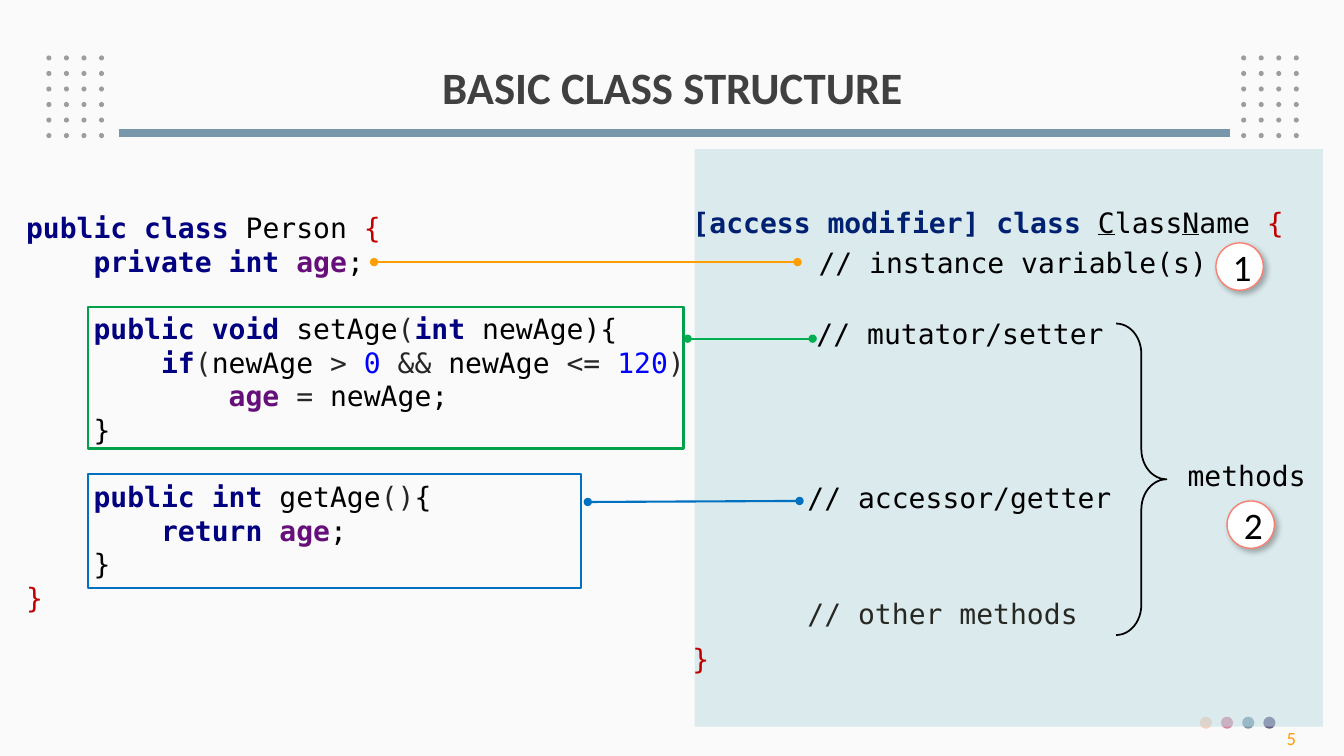
"""Build the slide that explains the basic structure of a class."""
import pptx
import pptx.dml.color
import pptx.enum.shapes
import pptx.enum.text
import pptx.oxml
import pptx.oxml.ns
import pptx.util

Inches, Pt = pptx.util.Inches, pptx.util.Pt
SHAPES = pptx.enum.shapes.MSO_SHAPE
CENTER = pptx.enum.text.PP_ALIGN.CENTER
MIDDLE = pptx.enum.text.MSO_ANCHOR.MIDDLE
MONO, SANS = "DejaVu Sans Mono", "Calibri"

STYLES = {
    "keyword": ("000080", True, False),
    "field": ("660E7A", True, False),
    "name": ("000000", False, False),
    "symbol": ("262626", False, False),
    "number": ("0000FF", False, False),
    "brace": ("C00000", False, False),
    "pattern": ("002071", True, False),
    "capital": ("000000", False, True),
    "remark": ("282823", False, False),
    "title": ("404040", True, False),
    "page": ("FF9E00", False, False),
}
PERSON_CODE = [
    (0, [("public class ", "keyword"), ("Person ", "name"), ("{", "brace")]),
    (0, [("    private int ", "keyword"), ("age", "field"), (";", "name")]),
    (24, [("    public void ", "keyword"), ("setAge", "name"), ("(", "symbol"),
          ("int ", "keyword"), ("newAge){", "name")]),
    (0, [("        if", "keyword"), ("(", "symbol"), ("newAge ", "name"), ("> ", "symbol"),
         ("0 ", "number"), ("&& ", "symbol"), ("newAge ", "name"), ("<= ", "symbol"),
         ("120", "number"), (")", "symbol")]),
    (0, [("            age ", "field"), ("= ", "symbol"), ("newAge;", "name")]),
    (0, [("    }", "name")]),
    (24, [("    public int ", "keyword"), ("getAge", "name"), ("()", "symbol"), ("{", "name")]),
    (0, [("        return ", "keyword"), ("age", "field"), (";", "name")]),
    (0, [("    }", "name")]),
    (0, [("}", "brace")]),
]
CLASS_PATTERN = [
    (0, [("[access modifier] class ", "pattern"), ("C", "capital"), ("lass", "name"),
         ("N", "capital"), ("ame ", "name"), ("{", "brace")]),
    (287, [("}", "brace")]),
]
LABELS = [
    ("methods", "name", 11.68, 4.5, 1.57),
    ("// instance variable(s)", "name", 8.02, 2.39, 4.25),
    ("// mutator/setter", "name", 8, 3.09, 3.13),
    ("// accessor/getter", "name", 7.91, 4.72, 3.37),
    ("// other methods", "remark", 7.91, 5.87, 4.19),
]
LINKS = [
    (3.71, 2.6, 7.91, 2.6, "FF9E00"),
    (6.82, 3.36, 8.06, 3.36, "00B050"),
    (5.83, 4.98, 7.93, 4.97, "0070C0"),
]
METHOD_FRAMES = [(0.87, 3.05, 5.91, 1.4, "00A14A"), (0.87, 4.7, 4.89, 1.13, "0070C0")]
BADGES = [("1", 12.06, 2.41), ("2", 12.17, 4.97)]
CORNER_DOTS = ["FDCEB9", "D885A3", "7897AB", "655D8A"]
GRID_LEFTS, GRID_TOP, GRID_COLUMNS, GRID_ROWS = (0.46, 12.31), 0.55, 4, 6


def color(value):
    return pptx.dml.color.RGBColor.from_string(value)


def add_xml(parent, markup):
    namespaces = pptx.oxml.ns.nsdecls("a")
    parent.append(pptx.oxml.parse_xml(markup.replace(" ", f" {namespaces} ", 1)))


def write(box, lines, size, font, align=None):
    frame = box.text_frame
    for index, (gap, spans) in enumerate(lines):
        para = frame.add_paragraph() if index else frame.paragraphs[0]
        if gap:
            para.space_before = Pt(gap)
        if align is not None:
            para.alignment = align
        for text, style in spans:
            span = para.add_run()
            span.text = text
            value, span.font.bold, span.font.underline = STYLES[style]
            span.font.color.rgb = color(value)
            span.font.size, span.font.name = Pt(size), font


def add_text(page, area, lines, size=20, font=MONO, align=None, wrap=True):
    box = page.shapes.add_textbox(*map(Inches, area))
    box.text_frame.word_wrap = wrap
    write(box, lines, size, font, align)
    return box


def add_shape(page, kind, area, fill=None, line=None, width=1.5):
    shape = page.shapes.add_shape(kind, *map(Inches, area))
    shape.shadow.inherit = False
    if fill:
        shape.fill.solid()
        shape.fill.fore_color.rgb = color(fill)
    else:
        shape.fill.background()
    if line:
        shape.line.color.rgb = color(line)
        shape.line.width = Pt(width)
    else:
        shape.line.fill.background()
    return shape


def add_line(page, start_x, start_y, end_x, end_y, value, width, dotted=False):
    line = page.shapes.add_connector(pptx.enum.shapes.MSO_CONNECTOR.STRAIGHT,
                                     *map(Inches, (start_x, start_y, end_x, end_y)))
    line.line.color.rgb = color(value)
    line.line.width = Pt(width)
    if dotted:
        for end in ("headEnd", "tailEnd"):
            add_xml(line.line._get_or_add_ln(), f'<a:{end} type="oval"/>')
    add_xml(line._element.spPr, "<a:effectLst />")


def add_decoration(page):
    for left in GRID_LEFTS:
        for row in range(GRID_ROWS):
            for column in range(GRID_COLUMNS):
                area = (left + column * 0.174, GRID_TOP + row * 0.154, 0.05, 0.05)
                add_shape(page, SHAPES.OVAL, area, "9D9D9D")
    add_line(page, 12.2, 1.32, 1.18, 1.32, "7897AB", 5.25)
    for index, value in enumerate(CORNER_DOTS):
        add_shape(page, SHAPES.OVAL, (11.9 + index * 0.21, 7.11, 0.12, 0.12), value)
    panel = add_shape(page, SHAPES.RECTANGLE, (6.89, 1.48, 6.23, 5.73), "BCDCE1")
    tint = panel._element.spPr.find(".//" + pptx.oxml.ns.qn("a:srgbClr"))
    add_xml(tint, '<a:alpha val="50000"/>')


def add_badge(page, number, left, top):
    badge = add_shape(page, SHAPES.OVAL, (left, top, 0.47, 0.47), "FFFFFF", "FA8072", 1)
    effects = badge._element.spPr.find(pptx.oxml.ns.qn("a:effectLst"))
    add_xml(effects, f'<a:outerShdw blurRad="{Pt(4)}" dist="{Pt(3)}" dir="2700000">'
                     '<a:srgbClr val="404040"><a:alpha val="40000"/></a:srgbClr></a:outerShdw>')
    badge.text_frame.vertical_anchor = MIDDLE
    write(badge, [(0, [(number, "name")])], 26.7, SANS, CENTER)


def main():
    deck = pptx.Presentation()
    deck.slide_width, deck.slide_height = Inches(13.33), Inches(7.5)
    page = deck.slides.add_slide(deck.slide_layouts[6])
    page.background.fill.solid()
    page.background.fill.fore_color.rgb = color("FAFAFA")
    add_decoration(page)

    add_text(page, (0.16, 2.04, 6.77, 4.14), PERSON_CODE, wrap=False)
    title = add_text(page, (0.92, 0.4, 11.5, 0.98), [(0, [("BASIC CLASS STRUCTURE", "title")])],
                     32, SANS, CENTER)
    title.text_frame.vertical_anchor = MIDDLE
    title.text_frame.paragraphs[0].line_spacing = 0.9
    add_text(page, (6.77, 1.99, 6.34, 4.81), CLASS_PATTERN)

    brace = add_shape(page, SHAPES.RIGHT_BRACE, (11.07, 3.21, 0.5, 3.09), None, "000000", 1.25)
    brace.adjustments[0], brace.adjustments[1] = 0.6, 0.5
    for link in LINKS:
        add_line(page, *link, 1.5, dotted=True)
    for *area, value in METHOD_FRAMES:
        add_shape(page, SHAPES.RECTANGLE, area, None, value)
    for text, style, left, top, width in LABELS:
        add_text(page, (left, top, width, 0.44), [(0, [(text, style)])])

    number = add_text(page, (12.63, 7.1, 0.71, 0.4), [(0, [("5", "page")])], 13.3, SANS)
    frame = number.text_frame
    frame.margin_left = frame.margin_right = Inches(0.13)
    frame.margin_top = frame.margin_bottom = Inches(0.13)
    for badge in BADGES:
        add_badge(page, *badge)
    deck.save("out.pptx")


if __name__ == "__main__":
    main()
